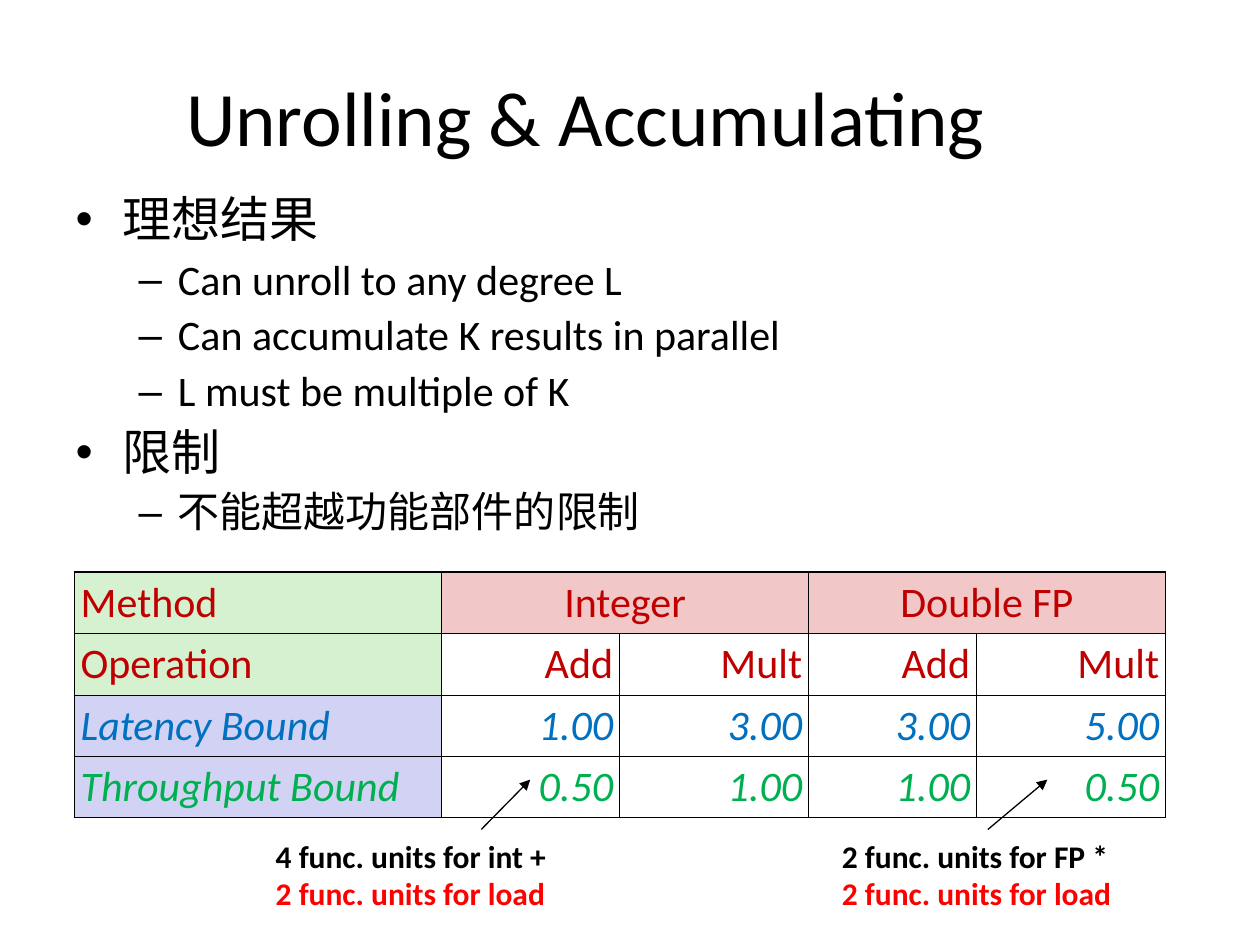
from lxml import etree
from pptx import Presentation
from pptx.dml.color import RGBColor
from pptx.enum.shapes import MSO_CONNECTOR
from pptx.enum.text import MSO_ANCHOR, MSO_AUTO_SIZE, PP_ALIGN
from pptx.oxml.ns import qn
from pptx.util import Pt

LEFT, CENTER, RIGHT = PP_ALIGN.LEFT, PP_ALIGN.CENTER, PP_ALIGN.RIGHT
TOP, MIDDLE = MSO_ANCHOR.TOP, MSO_ANCHOR.MIDDLE
NO_FIT = MSO_AUTO_SIZE.NONE
FIT_SHAPE = MSO_AUTO_SIZE.SHAPE_TO_FIT_TEXT
STRAIGHT = MSO_CONNECTOR.STRAIGHT

# Content
FONT = "Calibri"
BLACK, RED = "000000", "FF0000"
TITLE = "Unrolling & Accumulating"
BULLETS = [
    (0, "理想结果"),
    (1, "Can unroll to any degree L"),
    (1, "Can accumulate K results in parallel"),
    (1, "L must be multiple of K"),
    (0, "限制"),
    (1, "不能超越功能部件的限制"),
]
# Per level: size, left margin, hanging indent, space before, bullet
LEVELS = [(28, 27, -27, 7, "•"), (24, 58.5, -22.5, 6, "–")]

# Per row: text colour, italic, label fill, other fill, cells (None is merged)
ROWS = [
    ("C00000", False, "D5F1CF", "F1C7C7",
     ["Method", "Integer", None, "Double FP", None]),
    ("C00000", False, "D5F1CF", None,
     ["Operation", "Add", "Mult", "Add", "Mult"]),
    ("0070C0", True, "D2D2F4", None,
     ["Latency Bound", "1.00", "3.00", "3.00", "5.00"]),
    ("00B050", True, "D2D2F4", None,
     ["Throughput Bound", "0.50", "1.00", "1.00", "0.50"]),
]
COL_WIDTHS = [210, 101.5, 108, 96, 108]
ROW_HEIGHT = 34.56
OUTER, INNER = 1.08, 0.45

# Per note: left, width, lines, arrow start x, arrow end x
NOTES = [
    (150.5, 169, ["4 func. units for int +", "2 func. units for load"],
     275, 303),
    (474, 168.5, ["2 func. units for FP *", "2 func. units for load"],
     564.5, 598.5),
]
NOTE_TOP, NOTE_HEIGHT = 474.5, 50.4
ARROW_START_Y, ARROW_END_Y = 474, 445.5


def rgb(color):
    return RGBColor.from_string(color)


def place(sp, *box):
    sp.left, sp.top, sp.width, sp.height = map(Pt, box)


def add_run(p, text, size, color=BLACK, bold=False, italic=False):
    r = p.add_run()
    r.text = text
    font = r.font
    font.name, font.size = FONT, Pt(size)
    font.bold, font.italic = bold, italic
    font.color.rgb = rgb(color)


def next_paragraph(tf, index):
    return tf.add_paragraph() if index else tf.paragraphs[0]


def set_border(cell, side, width):
    ln = etree.SubElement(cell._tc.get_or_add_tcPr(), qn(f"a:ln{side}"),
                          w=str(Pt(width)))
    fill = etree.SubElement(ln, qn("a:solidFill"))
    etree.SubElement(fill, qn("a:srgbClr"), val=BLACK)


prs = Presentation()
prs.slide_width, prs.slide_height = Pt(720), Pt(540)
s = prs.slides.add_slide(prs.slide_layouts[1])

# Title
title = s.shapes.title
place(title, 36, 36, 597.5, 60)
tf = title.text_frame
tf.auto_size, tf.vertical_anchor = NO_FIT, MIDDLE
p = tf.paragraphs[0]
p.alignment = CENTER
add_run(p, TITLE, 44)

# Bulleted list
body = s.placeholders[1]
place(body, 36, 108, 654.5, 219)
tf = body.text_frame
tf.auto_size, tf.vertical_anchor = NO_FIT, TOP
for i, (level, text) in enumerate(BULLETS):
    size, margin, indent, before, bullet = LEVELS[level]
    p = next_paragraph(tf, i)
    p.level = level
    p.line_spacing = 0.9
    p.space_before = Pt(before if i else 0)
    pPr = p._p.get_or_add_pPr()
    pPr.set("marL", str(Pt(margin)))
    pPr.set("indent", str(Pt(indent)))
    etree.SubElement(pPr, qn("a:buChar"), char=bullet)
    add_run(p, text, size)

# Table of bounds
n_rows, n_cols = len(ROWS), len(COL_WIDTHS)
table = s.shapes.add_table(n_rows, n_cols, Pt(42.5), Pt(327),
                           Pt(sum(COL_WIDTHS)), Pt(n_rows * ROW_HEIGHT)).table
table.first_row = table.horz_banding = False
for column, width in zip(table.columns, COL_WIDTHS):
    column.width = Pt(width)
for row, (color, italic, label_fill, value_fill, texts) in enumerate(ROWS):
    table.rows[row].height = Pt(ROW_HEIGHT)
    for col, text in enumerate(texts):
        cell = table.cell(row, col)
        edges = {"L": col == 0, "R": col == n_cols - 1,
                 "T": row == 0, "B": row == n_rows - 1}
        for side, outer in edges.items():
            set_border(cell, side, OUTER if outer else INNER)
        fill = value_fill if col else label_fill
        if fill:
            cell.fill.solid()
            cell.fill.fore_color.rgb = rgb(fill)
        else:
            cell.fill.background()
        cell.margin_left = cell.margin_right = Pt(3.6)
        cell.margin_top = cell.margin_bottom = Pt(3.6)
        if text is None:
            table.cell(row, col - 1).merge(cell)
            continue
        p = cell.text_frame.paragraphs[0]
        p.line_spacing = 0.95
        p.alignment = LEFT if col == 0 else CENTER if row == 0 else RIGHT
        add_run(p, text, 24, color, italic=italic)

# Notes under the table, each with an arrow to its value
for left, width, lines, x1, x2 in NOTES:
    note = s.shapes.add_textbox(Pt(left), Pt(NOTE_TOP), Pt(width),
                                Pt(NOTE_HEIGHT))
    tf = note.text_frame
    tf.word_wrap, tf.auto_size = False, FIT_SHAPE
    for i, (text, color) in enumerate(zip(lines, (BLACK, RED))):
        add_run(next_paragraph(tf, i), text, 18, color, bold=True)

    arrow = s.shapes.add_connector(STRAIGHT, Pt(x1), Pt(ARROW_START_Y),
                                   Pt(x2), Pt(ARROW_END_Y))
    arrow.line.width = Pt(0.75)
    arrow.line.color.rgb = rgb(BLACK)
    etree.SubElement(arrow.line._get_or_add_ln(), qn("a:tailEnd"),
                     type="triangle")
    etree.SubElement(arrow._element.spPr, qn("a:effectLst"))

prs.save("out.pptx")
